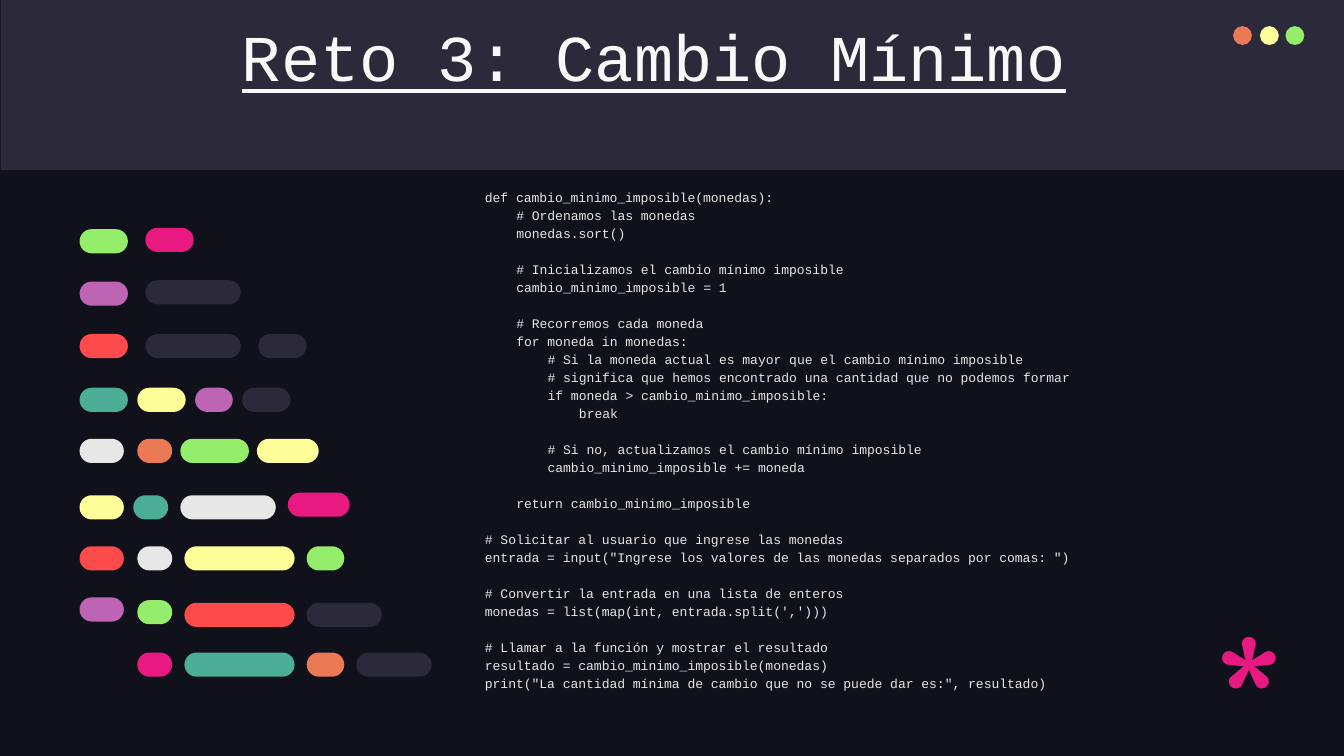
import pptx
import pptx.util
import pptx.dml.color
import pptx.enum.shapes
import pptx.enum.text

COLORS = {
    "night": "10111A", "slate": "2C293A", "orange": "EC7955", "yellow": "FFFF99",
    "green": "94EE6B", "pink": "E81A81", "purple": "BD64B5", "red": "FD4A4A",
    "teal": "4CAE97", "gray": "E7E7E7", "white": "F8F8F8",
}
CELL = pptx.util.Inches(0.1)
COLS, ROWS = 100, 56.25
SHAPE = pptx.enum.shapes.MSO_SHAPE
MONO = "Courier New"

PILL_HEIGHT = 1.8
PILL_ROWS = [
    (0.1, [(0, 3.6, "green"), (4.9, 3.6, "pink", -0.1)]),
    (4, [(0, 3.6, "purple"), (4.9, 7.1, "slate", -0.1)]),
    (7.9, [(0, 3.6, "red"), (4.9, 7.1, "slate"), (13.3, 3.6, "slate")]),
    (11.9, [(0, 3.6, "teal"), (4.3, 3.6, "yellow"), (8.6, 2.8, "purple"), (12.1, 3.6, "slate")]),
    (15.7, [(0, 3.3, "gray"), (4.3, 2.6, "orange"), (7.5, 5.1, "green"), (13.2, 4.6, "yellow")]),
    (19.9, [(0, 3.3, "yellow"), (4, 2.6, "teal"), (7.5, 7.1, "gray"), (15.5, 4.6, "pink", -0.2)]),
    (23.7, [(0, 3.3, "red"), (4.3, 2.6, "gray"), (7.8, 8.2, "yellow"), (16.9, 2.8, "green")]),
    (27.7, [(0, 3.3, "purple", -0.2), (4.3, 2.6, "green"), (7.8, 8.2, "red", 0.2), (16.9, 5.6, "slate", 0.2)]),
    (31.6, [(4.3, 2.6, "pink"), (7.8, 8.2, "teal"), (16.9, 2.8, "orange"), (20.6, 5.6, "slate")]),
]

CODE_BLOCKS = [
    [(0, "def cambio_minimo_imposible(monedas):"),
     (1, "# Ordenamos las monedas"),
     (1, "monedas.sort()")],
    [(1, "# Inicializamos el cambio mínimo imposible"),
     (1, "cambio_minimo_imposible = 1")],
    [(1, "# Recorremos cada moneda"),
     (1, "for moneda in monedas:"),
     (2, "# Si la moneda actual es mayor que el cambio mínimo imposible"),
     (2, "# significa que hemos encontrado una cantidad que no podemos formar"),
     (2, "if moneda > cambio_minimo_imposible:"),
     (3, "break")],
    [(2, "# Si no, actualizamos el cambio mínimo imposible"),
     (2, "cambio_minimo_imposible += moneda")],
    [(1, "return cambio_minimo_imposible")],
    [(0, "# Solicitar al usuario que ingrese las monedas"),
     (0, 'entrada = input("Ingrese los valores de las monedas separados por comas: ")')],
    [(0, "# Convertir la entrada en una lista de enteros"),
     (0, "monedas = list(map(int, entrada.split(',')))")],
    [(0, "# Llamar a la función y mostrar el resultado"),
     (0, "resultado = cambio_minimo_imposible(monedas)"),
     (0, 'print("La cantidad mínima de cambio que no se puede dar es:", resultado)')],
]


def rgb(name):
    return pptx.dml.color.RGBColor.from_string(COLORS[name])


def cells(*values):
    return [round(v * CELL) for v in values]


def add_block(s, kind, box, color):
    sp = s.shapes.add_shape(kind, *cells(*box))
    sp.shadow.inherit = False
    sp.fill.solid()
    sp.fill.fore_color.rgb = rgb(color)
    sp.line.fill.background()
    return sp


def set_frame(tf, anchor):
    tf.word_wrap = True
    tf.auto_size = pptx.enum.text.MSO_AUTO_SIZE.NONE
    tf.vertical_anchor = anchor
    tf.margin_left = tf.margin_right = tf.margin_top = tf.margin_bottom = CELL


def set_font(p, name, size, color):
    p.alignment = pptx.enum.text.PP_ALIGN.LEFT
    p.font.name = name
    p.font.size = pptx.util.Pt(size)
    p.font.color.rgb = rgb(color)


def add_textbox(s, box):
    sp = s.shapes.add_textbox(*cells(*box))
    set_frame(sp.text_frame, pptx.enum.text.MSO_ANCHOR.TOP)
    return sp.text_frame


def add_header(s, box):
    x, y, w, h = box
    add_block(s, SHAPE.RECTANGLE, box, "slate")
    for dx, color in zip((91.7, 93.7, 95.6), ("orange", "yellow", "green")):
        add_block(s, SHAPE.OVAL, (x + dx, y + 1.95, 1.4, 1.4), color)
    title = s.shapes.title
    title.left, title.top, title.width, title.height = cells(x + 16.95, y + 0.95, 84.2, 6.3)
    set_frame(title.text_frame, pptx.enum.text.MSO_ANCHOR.MIDDLE)
    p = title.text_frame.paragraphs[0]
    p.text = "Reto 3: Cambio Mínimo"
    set_font(p, MONO, 35, "white")
    p.font.underline = True
    s.shapes._spTree.append(title._element)


def add_pills(s, x, y):
    for top, pills in PILL_ROWS:
        for dx, w, color, *nudge in pills:
            box = (x + dx, y + top + sum(nudge), w, PILL_HEIGHT)
            add_block(s, SHAPE.ROUNDED_RECTANGLE, box, color).adjustments[0] = 0.5


def add_code(s, box, size=7):
    tf = add_textbox(s, box)
    indent = pptx.util.Pt(4 * 0.6 * size)
    p = None
    for block in CODE_BLOCKS:
        for i, (level, line) in enumerate(block):
            first = p is None
            p = tf.paragraphs[0] if first else tf.add_paragraph()
            p.text = line
            set_font(p, MONO, size, "gray")
            p.line_spacing = 1.15
            p.space_before = pptx.util.Pt(9.7 if i == 0 and not first else 0)
            p._p.get_or_add_pPr().set("marL", str(level * indent))


def add_asterisk(s, box):
    p = add_textbox(s, box).paragraphs[0]
    p.text = "*"
    set_font(p, "Comfortaa", 96, "pink")


def main():
    prs = pptx.Presentation()
    prs.slide_width, prs.slide_height = cells(COLS, ROWS)
    s = prs.slides.add_slide(prs.slide_layouts[5])
    s.background.fill.solid()
    s.background.fill.fore_color.rgb = rgb("night")
    add_header(s, (0.05, 0, COLS, 12.65))
    add_pills(s, 5.92, 16.95)
    add_code(s, (35.1, 12.9, 54.3, 33.6))
    add_asterisk(s, (89.4, 43.5, 5.7, 8.7))
    prs.save("out.pptx")


if __name__ == "__main__":
    main()
